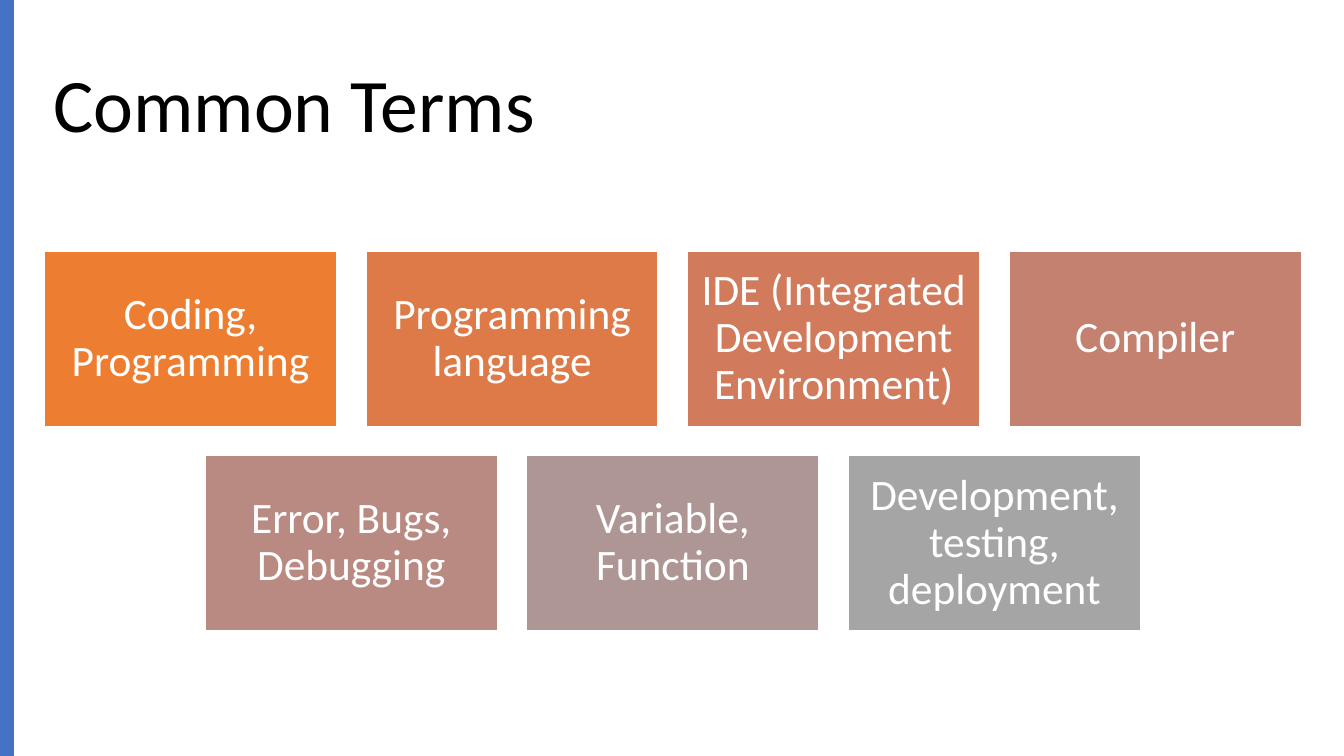
from pptx import Presentation
from pptx.dml.color import RGBColor
from pptx.enum import shapes, text
from pptx.util import Pt

TITLE = "Common Terms"
TERM_ROWS = [
    [
        ("Coding, Programming", "orange"),
        ("Programming language", "copper"),
        ("IDE (Integrated Development Environment)", "terracotta"),
        ("Compiler", "clay"),
    ],
    [
        ("Error, Bugs, Debugging", "rose"),
        ("Variable, Function", "mauve"),
        ("Development, testing, deployment", "gray"),
    ],
]
COLORS = {
    "black": "000000",
    "white": "FFFFFF",
    "blue": "4472C4",
    "orange": "ED7D31",
    "copper": "DE7A47",
    "terracotta": "D17B5C",
    "clay": "C48170",
    "rose": "B98A82",
    "mauve": "AE9694",
    "gray": "A5A5A5",
}
FONT = "Calibri"
SLIDE_WIDTH, SLIDE_HEIGHT = 960, 540
CARD_WIDTH, CARD_HEIGHT, CARD_GAP = 208.8, 125.3, 20.9
CARDS_TOP, CARDS_CENTER = 179.3, 480.6
CARD_INSET = 9.4


def color(name):
    return RGBColor.from_string(COLORS[name])


def add_rectangle(slide, left, top, width, height, fill):
    shape = slide.shapes.add_shape(
        shapes.MSO_SHAPE.RECTANGLE, Pt(left), Pt(top), Pt(width), Pt(height)
    )
    shape.shadow.inherit = False
    shape.fill.solid()
    shape.fill.fore_color.rgb = color(fill)
    shape.line.fill.background()
    return shape


def write(shape, words, size, color_name, alignment):
    frame = shape.text_frame
    frame.word_wrap = True
    frame.vertical_anchor = text.MSO_ANCHOR.MIDDLE
    paragraph = frame.paragraphs[0]
    paragraph.alignment = alignment
    paragraph.line_spacing = 0.9
    run = paragraph.add_run()
    run.text = words
    run.font.name = FONT
    run.font.size = Pt(size)
    run.font.color.rgb = color(color_name)


def add_card(slide, left, top, term, fill):
    card = add_rectangle(slide, left, top, CARD_WIDTH, CARD_HEIGHT, fill)
    card.line.color.rgb = color("white")
    card.line.width = Pt(1)
    frame = card.text_frame
    frame.margin_left = frame.margin_right = Pt(CARD_INSET)
    frame.margin_top = frame.margin_bottom = Pt(CARD_INSET)
    write(card, term, 31, "white", text.PP_ALIGN.CENTER)


def main():
    presentation = Presentation()
    presentation.slide_width = Pt(SLIDE_WIDTH)
    presentation.slide_height = Pt(SLIDE_HEIGHT)
    slide = presentation.slides.add_slide(presentation.slide_layouts[6])

    title = slide.shapes.add_textbox(Pt(31), Pt(25.2), Pt(898.6), Pt(104.4))
    write(title, TITLE, 54, "black", text.PP_ALIGN.LEFT)
    add_rectangle(slide, 0, 0, 10, SLIDE_HEIGHT, "blue")

    for row, terms in enumerate(TERM_ROWS):
        row_width = len(terms) * (CARD_WIDTH + CARD_GAP) - CARD_GAP
        row_left = CARDS_CENTER - row_width / 2
        top = CARDS_TOP + row * (CARD_HEIGHT + CARD_GAP)
        for column, (term, fill) in enumerate(terms):
            left = row_left + column * (CARD_WIDTH + CARD_GAP)
            add_card(slide, left, top, term, fill)

    presentation.save("out.pptx")


if __name__ == "__main__":
    main()
